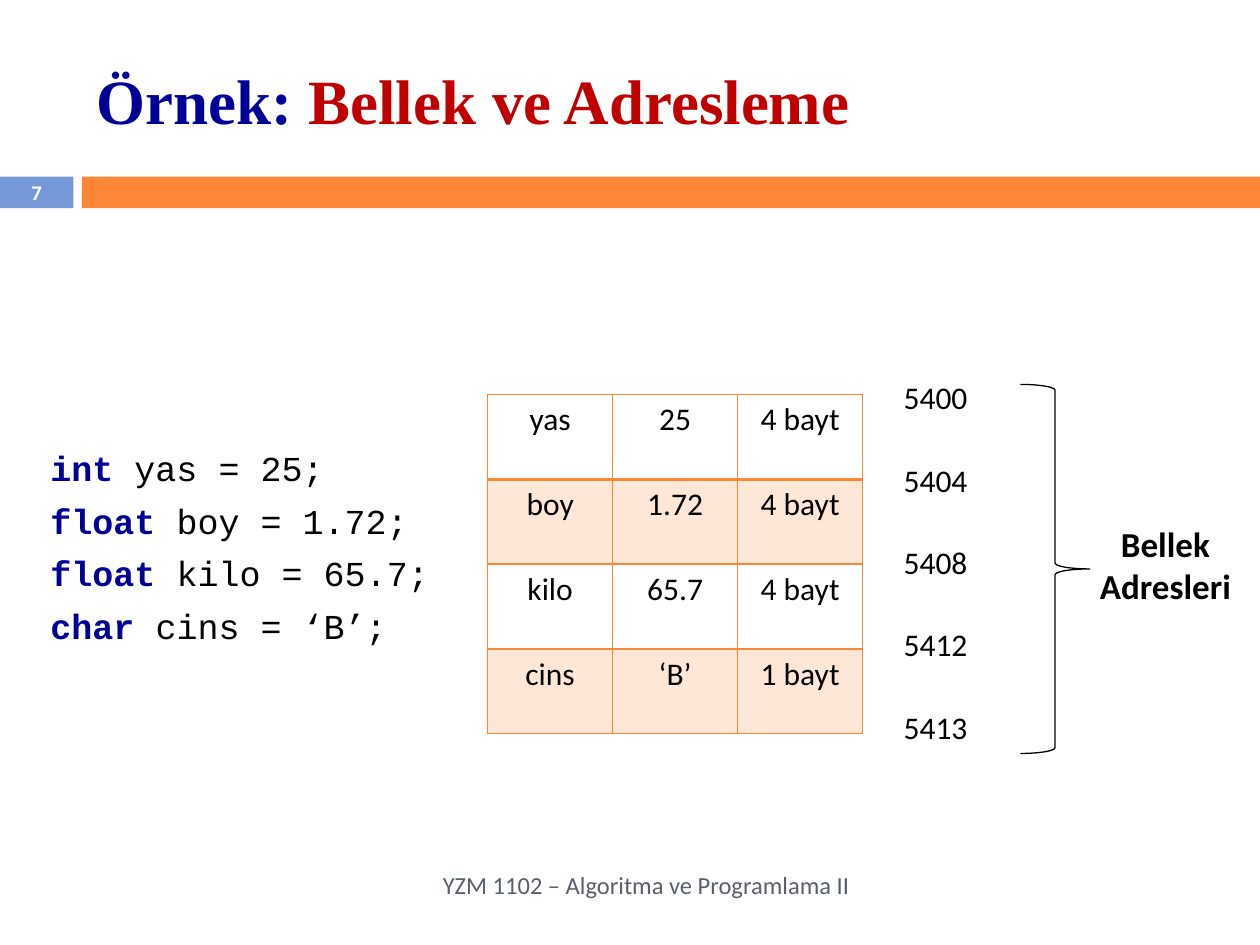
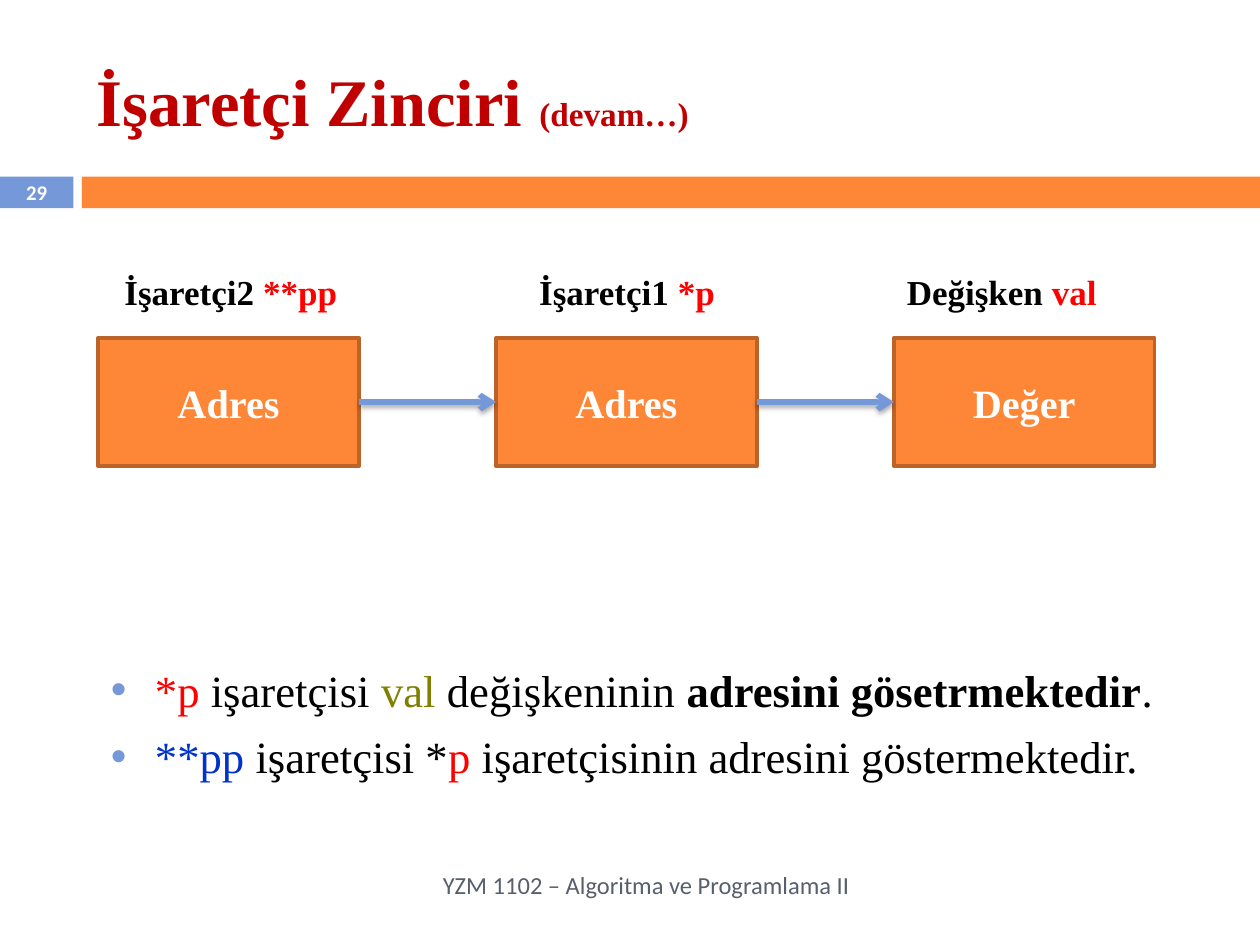
from lxml import etree
from pptx import Presentation
from pptx.dml.color import RGBColor
from pptx.enum import dml, shapes, text
from pptx.oxml import ns
from pptx.util import Cm, Pt

BLACK = RGBColor(0x00, 0x00, 0x00)
WHITE = RGBColor(0xFF, 0xFF, 0xFF)
NAVY = RGBColor(0x00, 0x00, 0x99)
BLUE = RGBColor(0x00, 0x33, 0xCC)
SKY = RGBColor(0x75, 0x98, 0xD9)
ORANGE = RGBColor(0xFE, 0x86, 0x37)
RUST = RGBColor(0xBC, 0x63, 0x29)
PEACH = RGBColor(0xFF, 0xE7, 0xD7)
CRIMSON = RGBColor(0xC0, 0x00, 0x00)
RED = RGBColor(0xFF, 0x00, 0x00)
OLIVE = RGBColor(0x80, 0x80, 0x00)
SLATE = RGBColor(0x57, 0x5F, 0x6D)

SANS, SERIF, MONO = "Calibri", "Times New Roman", "Courier New"
MID, LEFT, JUST = text.PP_ALIGN.CENTER, text.PP_ALIGN.LEFT, text.PP_ALIGN.JUSTIFY
FOOTER = "YZM 1102 – Algoritma ve Programlama II"

CODE = [
    [("int", NAVY, True), (" yas = 25;", BLACK)],
    [("float ", NAVY, True), ("boy = 1.72;", BLACK)],
    [("float ", NAVY, True), ("kilo = 65.7;", BLACK)],
    [("char ", NAVY, True), ("cins = ‘B’;", BLACK)],
]
MEMORY = [
    ("yas", "25", "4 bayt"),
    ("boy", "1.72", "4 bayt"),
    ("kilo", "65.7", "4 bayt"),
    ("cins", "‘B’", "1 bayt"),
]
ADDRESSES = ["5400", "5404", "5408", "5412", "5413"]
CHAIN = [
    (2.26, "İşaretçi2 ", "**pp", "Adres"),
    (10.62, "İşaretçi1 ", "*p", "Adres"),
    (18.03, "Değişken ", "val", "Değer"),
]
NOTES = [
    [("*p ", RED), ("işaretçisi ", BLACK), ("val ", OLIVE), ("değişkeninin ", BLACK),
     ("adresini gösetrmektedir", BLACK, True), (".", BLACK)],
    [("**pp ", BLUE), ("işaretçisi *", BLACK), ("p ", RED),
     ("işaretçisinin adresini göstermektedir.", BLACK)],
]


def node(parent, tag, **attrs):
    """Append a drawing element with the given attributes."""
    item = etree.SubElement(parent, ns.qn("a:" + tag))
    for key, value in attrs.items():
        item.set(key, str(value))
    return item


def write(para, runs, size, face, align=LEFT, bold=None):
    """Fill a paragraph with (text, colour, bold) runs."""
    para.alignment = align
    para.font.size, para.font.name, para.font.bold = Pt(size), face, bold
    for words, colour, *strong in runs:
        run = para.add_run()
        run.text = words
        run.font.color.rgb = colour
        if strong:
            run.font.bold = strong[0]


def place(shape, left, top, width, height):
    """Move and size a shape, in centimetres."""
    shape.left, shape.top = Cm(left), Cm(top)
    shape.width, shape.height = Cm(width), Cm(height)


def label(slide, box, runs, size, face=SANS, align=MID, bold=None, wrap=True):
    """Add a text box with one paragraph."""
    frame = slide.shapes.add_textbox(*map(Cm, box)).text_frame
    frame.word_wrap = wrap
    write(frame.paragraphs[0], runs, size, face, align, bold)
    return frame


def block(slide, box, fill, edge=None, kind=shapes.MSO_SHAPE.RECTANGLE):
    """Add a flat preset shape."""
    shape = slide.shapes.add_shape(kind, *map(Cm, box))
    shape.shadow.inherit = False
    if fill:
        shape.fill.solid()
        shape.fill.fore_color.rgb = fill
    else:
        shape.fill.background()
    if edge:
        shape.line.color.rgb, shape.line.width = edge[0], Pt(edge[1])
    else:
        shape.line.fill.background()
    return shape


def start(deck, number, title, size):
    """Add a slide with its title, bands, number and footer."""
    slide = deck.slides.add_slide(deck.slide_layouts[1])
    head = slide.shapes.title
    place(head, 1.7, 0.64, 23, 2.74)
    head.text_frame.vertical_anchor = text.MSO_ANCHOR.MIDDLE
    write(head.text_frame.paragraphs[0], title, size, SERIF, bold=True)
    tag = block(slide, (0, 3.56, 1.48, 0.64), SKY).text_frame
    tag.margin_left = tag.margin_right = tag.margin_top = tag.margin_bottom = 0
    write(tag.paragraphs[0], [(number, WHITE)], 11.9, SANS, MID, True)
    block(slide, (1.65, 3.56, 23.75, 0.64), ORANGE)
    foot = label(slide, (1.7, 17.35, 22.66, 0.97), [(FOOTER, SLATE)], 14)
    foot.vertical_anchor = text.MSO_ANCHOR.MIDDLE
    return slide


def listing(slide, box, lines, size, face, gap, bullet=False):
    """Fill the body placeholder with lines of runs."""
    body = slide.placeholders[1]
    place(body, *box)
    frame = body.text_frame
    frame.auto_size = text.MSO_AUTO_SIZE.NONE
    for i, runs in enumerate(lines):
        para = frame.add_paragraph() if i else frame.paragraphs[0]
        para.space_before = Pt(gap if i else 0)
        props = para._p.get_or_add_pPr()
        hang = Cm(0.89) if bullet else 0
        props.set("marL", str(hang))
        props.set("indent", str(-hang))
        if bullet:
            node(node(props, "buClr"), "srgbClr", val=SKY)
            node(props, "buChar", char="•")
        else:
            node(props, "buNone")
        write(para, runs, size, face, JUST)


def border(cell, row):
    """Draw the four cell edges, thicker under the first row."""
    props = cell._tc.get_or_add_tcPr()
    thick = {"lnB": row == 0, "lnT": row == 1}
    for side in ("lnL", "lnR", "lnT", "lnB"):
        line = node(props, side, w=Pt(2 if thick.get(side) else 1))
        node(node(line, "solidFill"), "srgbClr", val=ORANGE)


def grid(slide):
    """Add the table of variables."""
    wide, high = 2.52, 1.71
    box = (9.83, 7.95, 3 * wide, 4 * high)
    table = slide.shapes.add_table(4, 3, *map(Cm, box)).table
    table.first_row = table.horz_banding = False
    for r, row in enumerate(MEMORY):
        for c, words in enumerate(row):
            cell = table.cell(r, c)
            border(cell, r)
            if r % 2:
                cell.fill.solid()
                cell.fill.fore_color.rgb = PEACH
            else:
                cell.fill.background()
            write(cell.text_frame.paragraphs[0], [(words, BLACK)], 18, SANS, MID)


def arrow(slide, left, right, level):
    """Add a shadowed arrow between two boxes."""
    line = slide.shapes.add_connector(
        shapes.MSO_CONNECTOR.STRAIGHT, Cm(left), Cm(level), Cm(right), Cm(level))
    line.line.color.rgb, line.line.width = SKY, Pt(3)
    line.line.dash_style = dml.MSO_LINE.SOLID
    node(line.line._get_or_add_ln(), "tailEnd", type="arrow")
    effect = node(line._element.spPr, "effectLst")
    shade = node(effect, "outerShdw", blurRad=Pt(3.1), dist=Pt(1.8),
                 dir=5400000, rotWithShape=0)
    node(node(shade, "srgbClr", val=BLACK), "alpha", val=35000)


def memory(deck):
    """Build the memory and addressing slide."""
    title = [("Örnek: ", NAVY), ("Bellek ve Adresleme", CRIMSON)]
    slide = start(deck, "7", title, 36)
    listing(slide, (0.76, 8.88, 8.6, 5.2), CODE, 20, MONO, 6)
    grid(slide)
    for i, words in enumerate(ADDRESSES):
        label(slide, (17.78, 7.5 + 1.66 * i, 2.16, 1.02), [(words, BLACK)], 18)
    block(slide, (20.57, 7.75, 1.4, 7.44), None, (BLACK, 0.75),
          shapes.MSO_SHAPE.RIGHT_BRACE)
    label(slide, (21.64, 10.41, 3.71, 1.96), [("Bellek Adresleri", BLACK)], 20, bold=True)


def chain(deck):
    """Build the pointer chain slide."""
    title = [("İşaretçi Zinciri ", CRIMSON), ("(devam…)", CRIMSON)]
    slide = start(deck, "29", title, 38)
    slide.shapes.title.text_frame.paragraphs[0].runs[1].font.size = Pt(19)
    left, top, wide, high, step = 1.98, 6.81, 5.26, 2.59, 8.02
    for i, (spot, kind, name, value) in enumerate(CHAIN):
        x = left + i * step
        box = block(slide, (x, top, wide, high), ORANGE, (RUST, 2))
        write(box.text_frame.paragraphs[0], [(value, WHITE)], 23, SERIF, MID, True)
        label(slide, (spot, 5.33, 5.26, 1.12), [(kind, BLACK), (name, RED)],
              20, SERIF, LEFT, True)
        if i:
            arrow(slide, x - step + wide, x, top + high / 2)
    listing(slide, (1.98, 13.23, 22.33, 3.9), NOTES, 25.5, SERIF, 7.5, True)


def main():
    """Build and save the deck."""
    deck = Presentation()
    deck.slide_width, deck.slide_height = Cm(25.4), Cm(19.05)
    memory(deck)
    chain(deck)
    deck.save("out.pptx")


if __name__ == "__main__":
    main()
